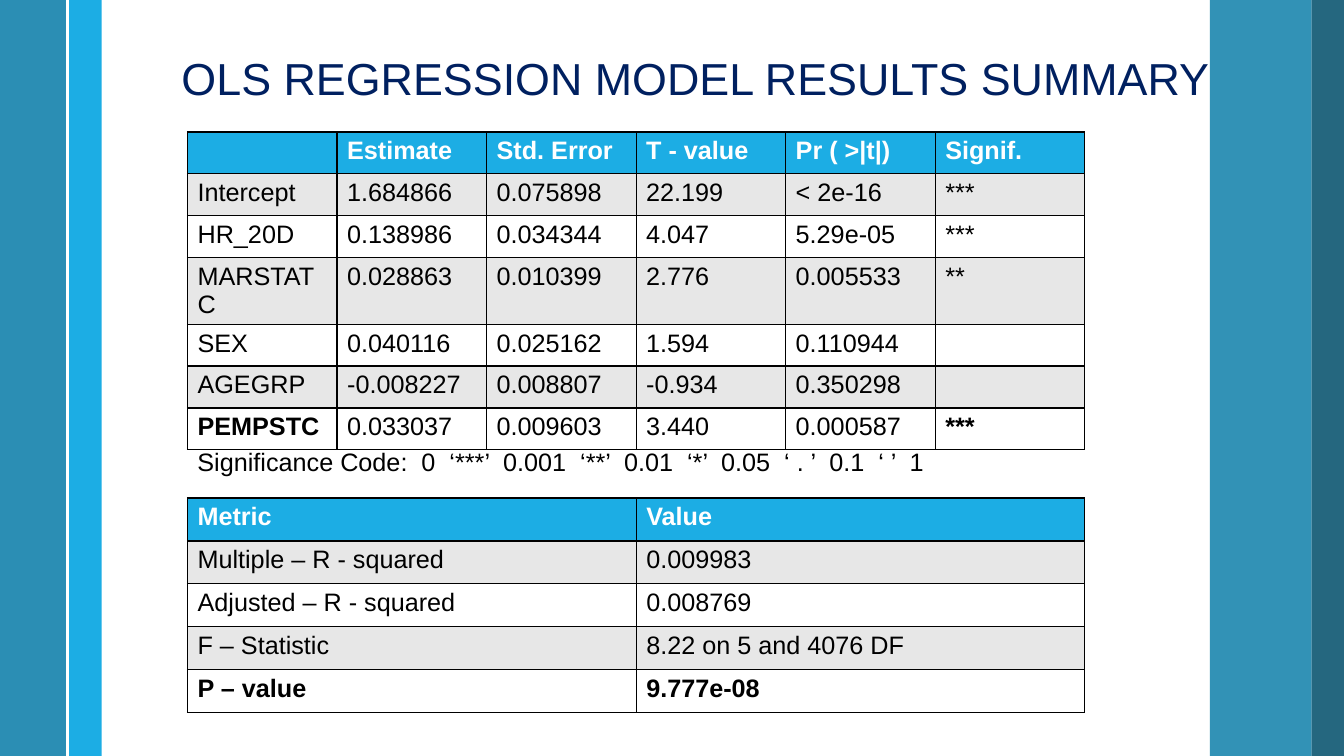
import pptx
import pptx.dml.color
import pptx.enum.shapes
import pptx.enum.text
import pptx.oxml.ns
import pptx.oxml.xmlchemy
import pptx.util
from pptx.util import Inches

# Content
TITLE = "OLS REGRESSION MODEL RESULTS SUMMARY"
SIGNIFICANCE_CODE = "Significance Code:  0  ‘***’  0.001  ‘**’  0.01  ‘*’  0.05  ‘ . ’  0.1  ‘ ’  1"
COEFFICIENTS = [
    ("", "Estimate", "Std. Error", "T - value", "Pr ( >|t|)", "Signif."),
    ("Intercept", "1.684866", "0.075898", "22.199", "< 2e-16", "***"),
    ("HR_20D", "0.138986", "0.034344", "4.047", "5.29e-05", "***"),
    ("MARSTATC", "0.028863", "0.010399", "2.776", "0.005533", "**"),
    ("SEX", "0.040116", "0.025162", "1.594", "0.110944", ""),
    ("AGEGRP", "-0.008227", "0.008807", "-0.934", "0.350298", ""),
    ("PEMPSTC", "0.033037", "0.009603", "3.440", "0.000587", "***"),
]
METRICS = [
    ("Metric", "Value"),
    ("Multiple – R - squared", "0.009983"),
    ("Adjusted – R - squared", "0.008769"),
    ("F – Statistic", "8.22 on 5 and 4076 DF"),
    ("P – value", "9.777e-08"),
]


class Theme:
    font = "Arial"
    title_size, body_size = 32, 18
    border_width, divider_width = 1, 1.5
    title, text, white = "002060", "000000", "FFFFFF"
    bright, medium, dark, band = "1CADE4", "1482AC", "0E5772", "E7E7E7"


SLIDE_WIDTH, SLIDE_HEIGHT = 13.33, 7.5
TABLE_LEFT, TABLE_WIDTH = 1.86, 8.9
# Side bars: left, width, colour, opacity in percent
SIDE_BARS = [
    (0.68, 0.33, Theme.bright, 100),
    (0, 0.67, Theme.medium, 90),
    (12, 1.01, Theme.medium, 87),
    (13.01, 0.32, Theme.dark, 90),
]


def rgb(colour):
    return pptx.dml.color.RGBColor.from_string(colour)


def new_element(tag):
    return pptx.oxml.xmlchemy.OxmlElement(tag)


def write_text(frame, text, *, size=Theme.body_size, colour=Theme.text, bold=False):
    paragraph = frame.paragraphs[0]
    paragraph.alignment = pptx.enum.text.PP_ALIGN.LEFT
    paragraph.font.size = pptx.util.Pt(size)
    if text:
        run = paragraph.add_run()
        run.text = text
        run.font.name = Theme.font
        run.font.size = pptx.util.Pt(size)
        run.font.bold = bold
        run.font.color.rgb = rgb(colour)


def add_bar(slide, left, width, colour, opacity):
    bar = slide.shapes.add_shape(pptx.enum.shapes.MSO_SHAPE.RECTANGLE, Inches(left), 0,
                                 Inches(width), Inches(SLIDE_HEIGHT))
    bar.shadow.inherit = False
    bar.line.fill.background()
    bar.fill.solid()
    bar.fill.fore_color.rgb = rgb(colour)
    if opacity < 100:
        fill_colour = bar.element.spPr.find(".//" + pptx.oxml.ns.qn("a:srgbClr"))
        alpha = new_element("a:alpha")
        alpha.set("val", str(opacity * 1000))
        fill_colour.append(alpha)


def add_divider(slide, left):
    divider = slide.shapes.add_connector(pptx.enum.shapes.MSO_CONNECTOR.STRAIGHT,
                                         Inches(left), 0, Inches(left), Inches(SLIDE_HEIGHT))
    divider.line.color.rgb = rgb(Theme.white)
    divider.line.width = pptx.util.Pt(Theme.divider_width)
    divider.element.spPr.append(new_element("a:effectLst"))


def add_borders(cell):
    properties = cell._tc.get_or_add_tcPr()
    for side in ("L", "R", "T", "B"):
        border = new_element(f"a:ln{side}")
        border.set("w", str(int(pptx.util.Pt(Theme.border_width))))
        fill = new_element("a:solidFill")
        colour = new_element("a:srgbClr")
        colour.set("val", Theme.text)
        fill.append(colour)
        border.append(fill)
        properties.append(border)


def add_results_table(slide, rows, top, height, bold_last_row):
    column_count = len(rows[0])
    table = slide.shapes.add_table(len(rows), column_count, Inches(TABLE_LEFT), Inches(top),
                                   Inches(TABLE_WIDTH), Inches(height)).table
    for column in table.columns:
        column.width = Inches(TABLE_WIDTH / column_count)
    for row_index, row in enumerate(rows):
        table.rows[row_index].height = Inches(height / len(rows))
        header = row_index == 0
        last = row_index == len(rows) - 1
        background = Theme.bright if header else (Theme.white, Theme.band)[row_index % 2]
        for column_index, text in enumerate(row):
            cell = table.cell(row_index, column_index)
            add_borders(cell)
            cell.fill.solid()
            cell.fill.fore_color.rgb = rgb(background)
            write_text(cell.text_frame, text, colour=Theme.white if header else Theme.text,
                       bold=header or (last and column_index in bold_last_row))


def main():
    presentation = pptx.Presentation()
    presentation.slide_width = Inches(SLIDE_WIDTH)
    presentation.slide_height = Inches(SLIDE_HEIGHT)
    slide = presentation.slides.add_slide(presentation.slide_layouts[5])

    # Side bars and divider
    for bar in SIDE_BARS:
        add_bar(slide, *bar)
    add_divider(slide, 0.67)

    # Tables
    add_results_table(slide, COEFFICIENTS, 1.31, 2.91, bold_last_row=(0, 5))
    add_results_table(slide, METRICS, 4.94, 2.13, bold_last_row=(0, 1))

    # Title, in front of the side bars
    title = slide.shapes.title
    title.left, title.top = Inches(1.7), Inches(0.45)
    title.width, title.height = Inches(10.79), Inches(0.64)
    title.text_frame.auto_size = pptx.enum.text.MSO_AUTO_SIZE.NONE
    title.text_frame.vertical_anchor = pptx.enum.text.MSO_ANCHOR.MIDDLE
    write_text(title.text_frame, TITLE, size=Theme.title_size, colour=Theme.title)
    slide.shapes.element.append(title.element)

    # Significance legend
    legend = slide.shapes.add_textbox(Inches(TABLE_LEFT), Inches(4.38), Inches(8.58), Inches(0.4))
    legend.text_frame.word_wrap = True
    write_text(legend.text_frame, SIGNIFICANCE_CODE)

    presentation.save("out.pptx")


if __name__ == "__main__":
    main()
